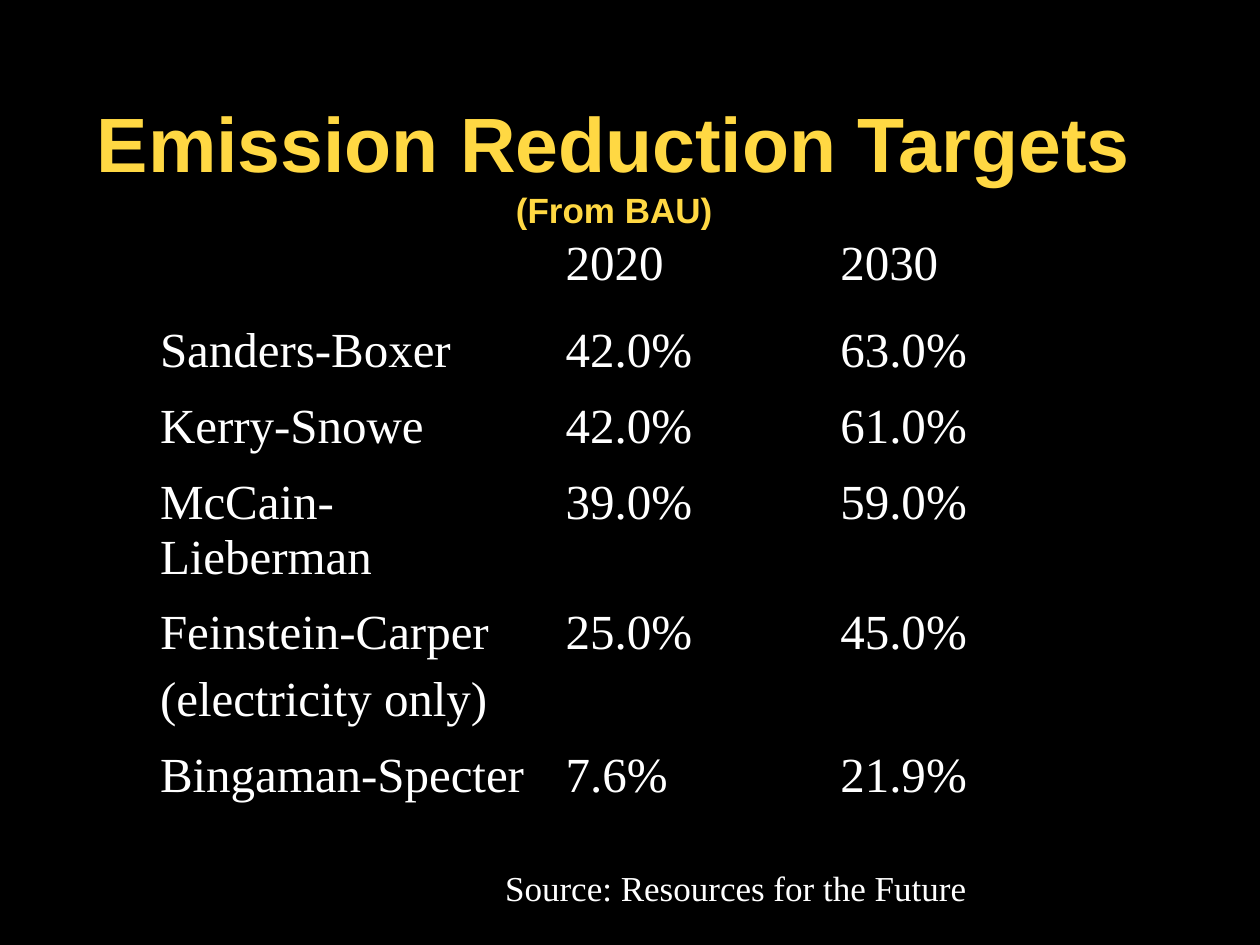
from dataclasses import dataclass

from lxml import etree
from pptx import Presentation, util as u
from pptx.dml.color import RGBColor
from pptx.enum import text
from pptx.oxml import ns


@dataclass(frozen=True)
class Theme:
    """Colours, typefaces and sizes of the slide."""
    background: str = "000000"
    heading: str = "FFD843"
    body: str = "FFFFFF"
    border: str = "000000"
    heading_font: str = "Arial"
    body_font: str = "Times New Roman"
    title_size: int = 44
    note_size: int = 20
    table_size: int = 28
    outer_line: float = 1.08
    inner_line: float = 0.45


THEME = Theme()
COLUMN_WIDTHS = (3.22, 2.18, 2.18)
ROW_HEIGHTS = (0.69, 0.6, 0.61, 1.03, 1.13, 0.61)
TARGETS = (
    ("", "2020", "2030"),
    ("Sanders-Boxer", "42.0%", "63.0%"),
    ("Kerry-Snowe", "42.0%", "61.0%"),
    ("McCain-Lieberman", "39.0%", "59.0%"),
    ("Feinstein-Carper\n(electricity only)", "25.0%", "45.0%"),
    ("Bingaman-Specter", "7.6%", "21.9%"),
)


def apply(target, formats):
    """Set each attribute of the target from a dict of values."""
    for attribute, value in formats.items():
        setattr(target, attribute, value)


def style_font(font, family, size, colour, bold=False):
    """Give a font its family, size, weight and colour."""
    apply(font, {"name": family, "size": u.Pt(size), "bold": bold})
    font.color.rgb = RGBColor.from_string(colour)


def place(shape, box):
    """Move a shape to a box of left, top, width and height in inches."""
    sides = ("left", "top", "width", "height")
    apply(shape, dict(zip(sides, map(u.Inches, box))))


def add_heading(slide, box):
    """Fill the title placeholder with the heading and its qualifier."""
    title = slide.shapes.title
    place(title, box)
    apply(title.text_frame, {
        "word_wrap": True,
        "auto_size": text.MSO_AUTO_SIZE.NONE,
        "vertical_anchor": text.MSO_ANCHOR.MIDDLE,
    })
    line = title.text_frame.paragraphs[0]
    line.alignment = text.PP_ALIGN.CENTER
    heading = line.add_run()
    heading.text = "Emission Reduction Targets"
    line.add_line_break()
    qualifier = line.add_run()
    qualifier.text = "(From BAU)"
    for run, size in ((heading, THEME.title_size), (qualifier, THEME.note_size)):
        style_font(run.font, THEME.heading_font, size, THEME.heading, bold=True)


def set_borders(cell, outer_sides):
    """Draw the four cell borders, heavier on the table's outer sides."""
    properties = cell._tc.get_or_add_tcPr()
    for side, outer in outer_sides.items():
        width = THEME.outer_line if outer else THEME.inner_line
        border = etree.SubElement(properties, ns.qn(f"a:ln{side}"), w=str(u.Pt(width)))
        fill = etree.SubElement(border, ns.qn("a:solidFill"))
        etree.SubElement(fill, ns.qn("a:srgbClr"), val=THEME.border)


def add_targets(slide, box):
    """Build the table of reduction targets for each bill."""
    last_row, last_column = len(ROW_HEIGHTS) - 1, len(COLUMN_WIDTHS) - 1
    table = slide.shapes.add_table(
        last_row + 1, last_column + 1, *map(u.Inches, box)).table
    apply(table, {"first_row": False, "horz_banding": False})
    for column, width in zip(table.columns, COLUMN_WIDTHS):
        column.width = u.Inches(width)
    for r, (height, entries) in enumerate(zip(ROW_HEIGHTS, TARGETS)):
        table.rows[r].height = u.Inches(height)
        for c, entry in enumerate(entries):
            cell = table.cell(r, c)
            cell.text = entry
            set_borders(cell, {"L": c == 0, "R": c == last_column,
                               "T": r == 0, "B": r == last_row})
            cell.fill.background()
            for i, line in enumerate(cell.text_frame.paragraphs):
                line.space_before = u.Pt(7 if i else 0)
                style_font(line.font, THEME.body_font, THEME.table_size, THEME.body)


def add_source(slide, box):
    """Add the source line below the table."""
    source = slide.shapes.add_textbox(*map(u.Inches, box)).text_frame
    apply(source, {"word_wrap": True, "auto_size": text.MSO_AUTO_SIZE.NONE})
    line = source.paragraphs[0]
    line.text = "Source: Resources for the Future"
    style_font(line.font, THEME.body_font, THEME.note_size, THEME.body)


def main():
    """Build the slide and save it."""
    deck = Presentation()
    apply(deck, {"slide_width": u.Inches(10), "slide_height": u.Inches(7.5)})
    slide = deck.slides.add_slide(deck.slide_layouts.get_by_name("Title Only"))
    slide.background.fill.solid()
    slide.background.fill.fore_color.rgb = RGBColor.from_string(THEME.background)
    add_heading(slide, (0.5, 0.67, 8.75, 1.25))
    add_targets(slide, (1.17, 1.83, sum(COLUMN_WIDTHS), sum(ROW_HEIGHTS)))
    add_source(slide, (3.91, 6.83, 3.95, 0.44))
    deck.save("out.pptx")


if __name__ == "__main__":
    main()
